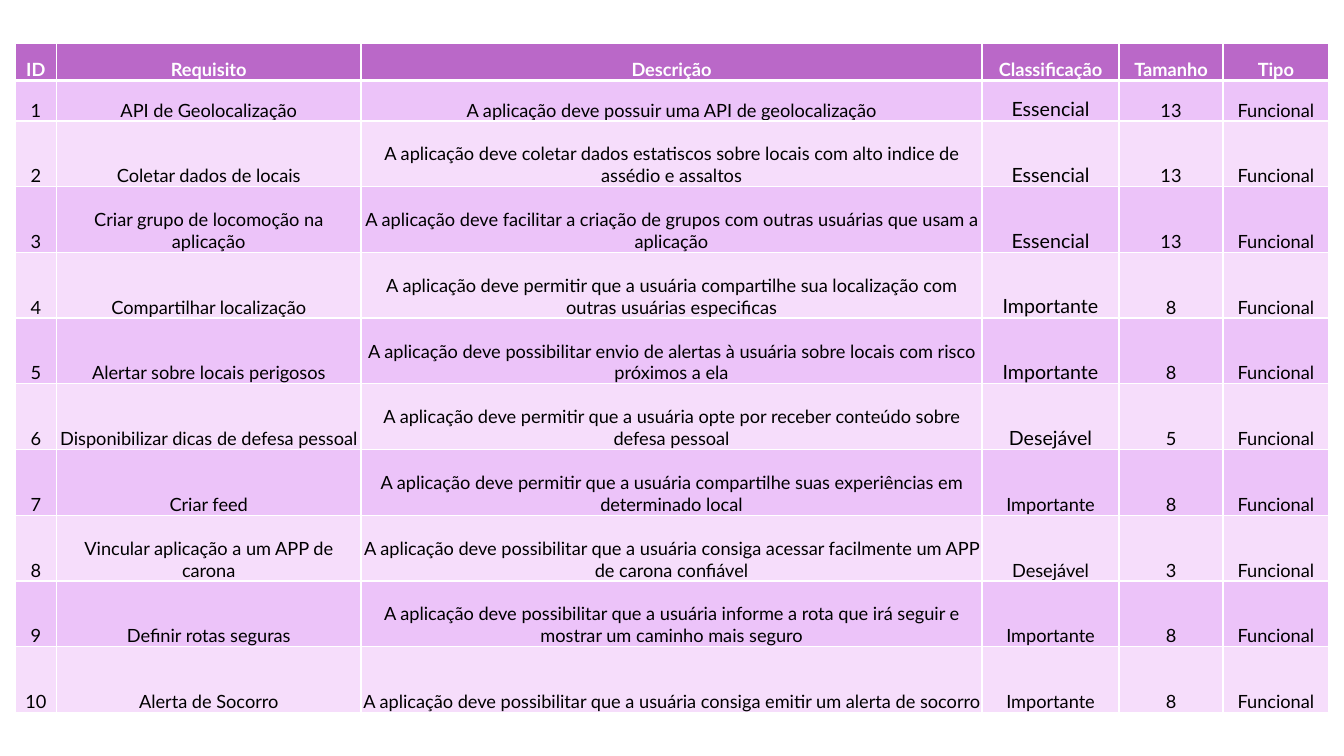
from lxml import etree
from pptx import Presentation
from pptx import util as u
from pptx.dml.color import RGBColor
from pptx.enum import text
from pptx.oxml.ns import qn

HUES = {"head": "BA68C8", "odd": "ECC3F9", "even": "F6DDFB",
        "white": "FFFFFF", "ink": "000000"}
FONT = "Lato"
LEFT, TOP, HIGH = 0.15, 0.43, 6.64
COLS = [0.41, 3.02, 6.16, 1.36, 1.03, 1.05]
HEAD, FIRST = 0.37, 0.4
RANK = 3  # column of the classification
LARGE = 6  # first requirements, whose classification is set larger
TITLES = ["ID", "Requisito", "Descrição", "Classificação", "Tamanho", "Tipo"]
NEEDS = [
    ("API de Geolocalização",
     "A aplicação deve possuir uma API de geolocalização", "Essencial", 13),
    ("Coletar dados de locais",
     "A aplicação deve coletar dados estatiscos sobre locais com alto indice "
     "de assédio e assaltos", "Essencial", 13),
    ("Criar grupo de locomoção na aplicação",
     "A aplicação deve facilitar a criação de grupos com outras usuárias que "
     "usam a aplicação", "Essencial", 13),
    ("Compartilhar localização",
     "A aplicação deve permitir que a usuária compartilhe sua localização com "
     "outras usuárias especificas", "Importante", 8),
    ("Alertar sobre locais perigosos",
     "A aplicação deve possibilitar envio de alertas à usuária sobre locais "
     "com risco próximos a ela", "Importante", 8),
    ("Disponibilizar dicas de defesa pessoal",
     "A aplicação deve permitir que a usuária opte por receber conteúdo sobre "
     "defesa pessoal", "Desejável", 5),
    ("Criar feed",
     "A aplicação deve permitir que a usuária compartilhe suas experiências "
     "em determinado local", "Importante", 8),
    ("Vincular aplicação a um APP de carona",
     "A aplicação deve possibilitar que a usuária consiga acessar facilmente "
     "um APP de carona confiável", "Desejável", 3),
    ("Definir rotas seguras",
     "A aplicação deve possibilitar que a usuária informe a rota que irá "
     "seguir e mostrar um caminho mais seguro", "Importante", 8),
    ("Alerta de Socorro",
     "A aplicação deve possibilitar que a usuária consiga emitir um alerta de "
     "socorro", "Importante", 8),
]


def rule(cell, row):
    """Draw white cell borders, thicker between the header and the body."""
    props = cell._tc.get_or_add_tcPr()
    for side in "LRTB":
        thick = (row, side) in [(0, "B"), (1, "T")]
        line = etree.SubElement(props, qn(f"a:ln{side}"),
                                w=str(u.Pt(3 if thick else 1)))
        fill = etree.SubElement(line, qn("a:solidFill"))
        etree.SubElement(fill, qn("a:srgbClr"), val=HUES["white"])


def write(cell, words, size, hue, bold):
    cell.margin_left = cell.margin_right = cell.margin_top = u.Inches(0.01)
    cell.margin_bottom = 0
    cell.vertical_anchor = text.MSO_ANCHOR.BOTTOM
    para = cell.text_frame.paragraphs[0]
    para.alignment = text.PP_ALIGN.CENTER
    run = para.add_run()
    run.text = str(words)
    run.font.name = FONT
    run.font.size = u.Pt(size)
    run.font.bold = bold
    run.font.color.rgb = RGBColor.from_string(HUES[hue])


def paint(cell, hue):
    cell.fill.solid()
    cell.fill.fore_color.rgb = RGBColor.from_string(HUES[hue])


def grid(slide, rows):
    body = (HIGH - HEAD - FIRST) / (len(rows) - 2)
    frame = slide.shapes.add_table(
        len(rows), len(COLS), u.Inches(LEFT), u.Inches(TOP),
        u.Inches(sum(COLS)), u.Inches(HIGH))
    table = frame.table
    for col, wide in zip(table.columns, COLS):
        col.width = u.Inches(wide)
    for r, row in enumerate(rows):
        table.rows[r].height = u.Inches({0: HEAD, 1: FIRST}.get(r, body))
        top = r == 0
        band = "head" if top else "odd" if r % 2 else "even"
        for c, words in enumerate(row):
            cell = table.cell(r, c)
            size = 14 if c == RANK and 1 <= r <= LARGE else 13
            rule(cell, r)
            paint(cell, band)
            write(cell, words, size, "white" if top else "ink", top)


def main():
    deck = Presentation()
    deck.slide_width, deck.slide_height = u.Inches(13.33), u.Inches(7.5)
    slide = deck.slides.add_slide(deck.slide_layouts[6])
    rows = [(n, *need, "Funcional") for n, need in enumerate(NEEDS, 1)]
    grid(slide, [TITLES] + rows)
    deck.save("out.pptx")


if __name__ == "__main__":
    main()
